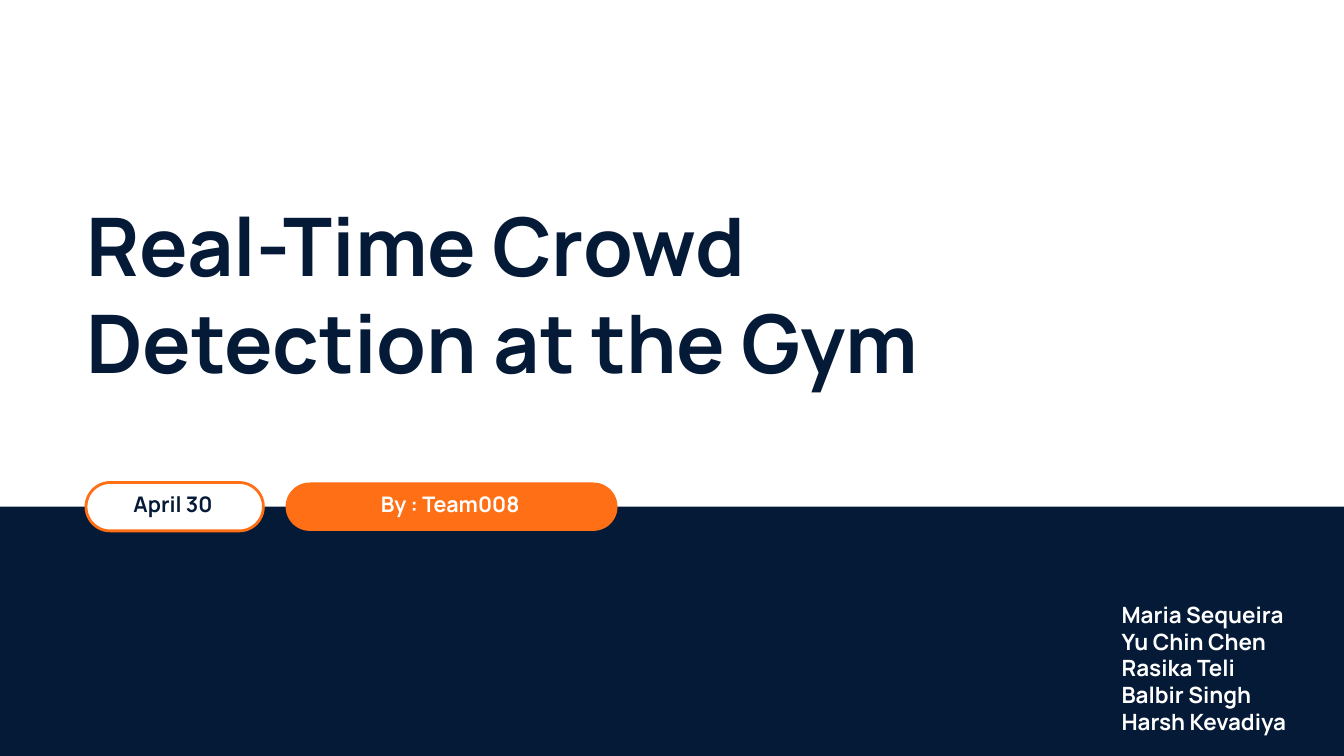
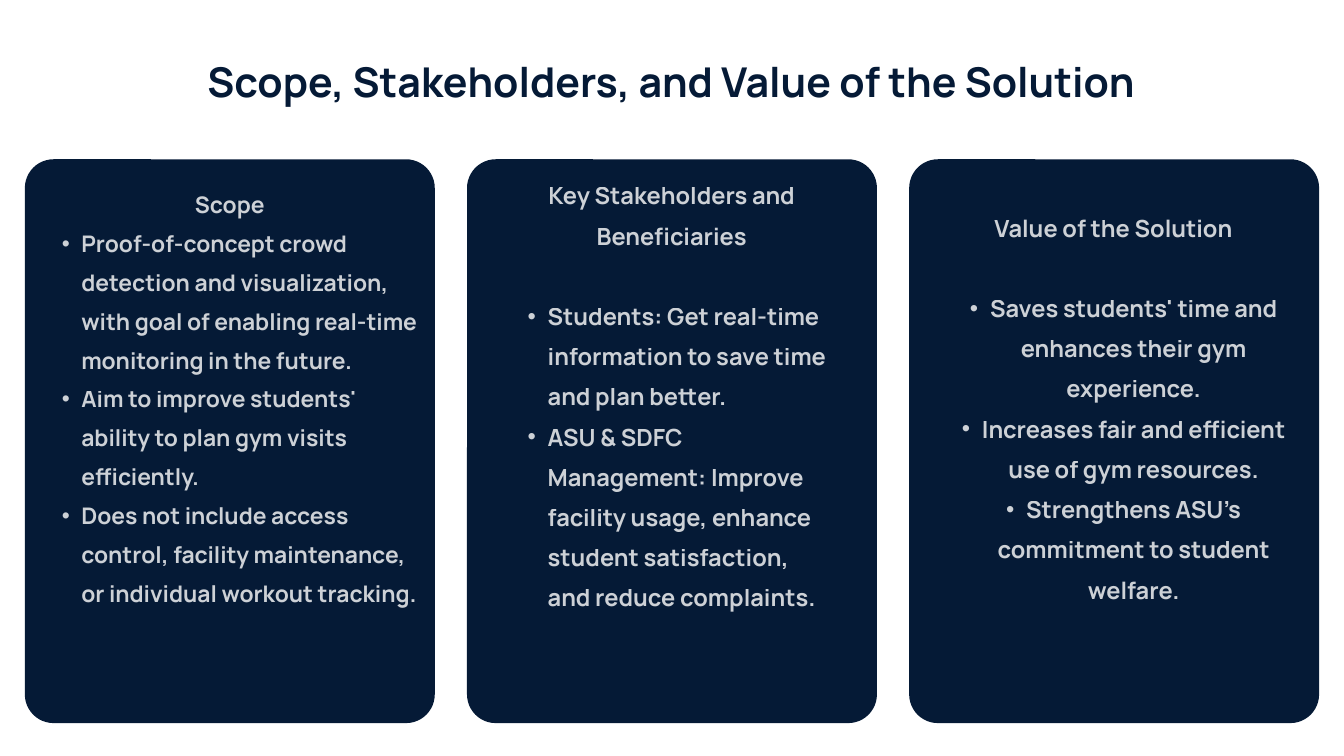
from dataclasses import dataclass

from lxml import etree
from pptx import Presentation
from pptx import util as u
from pptx.dml.color import RGBColor
from pptx.enum import shapes, text
from pptx.oxml.ns import qn


@dataclass(frozen=True)
class Theme:
    font: str = "Manrope"
    navy: str = "051A36"
    orange: str = "FF6F15"
    white: str = "FFFFFF"
    cover_size: float = 86.6
    title_size: float = 44
    pill_size: float = 23
    names_size: float = 24
    card_opacity: int = 80
    outline: float = 3


LEFT, CENTER = text.PP_ALIGN.LEFT, text.PP_ALIGN.CENTER
RECTANGLE = shapes.MSO_SHAPE.RECTANGLE
ROUNDED = shapes.MSO_SHAPE.ROUNDED_RECTANGLE
COLUMNS, ROWS = 20, 11.25
BAND_TOP = 7.54
PILL_HEIGHT = 0.72
CARD_WIDTH, CARD_HEIGHT, CARD_TOP, CARD_MARGIN = 6.1, 8.39, 2.37, 0.37

PILLS = [
    ("April 30", 1.28, 2.64, (1.4, 2.35), "white", "navy"),
    ("By : Team008", 4.25, 4.94, (4.39, 4.62), "orange", "white"),
]

TEAM = ["Maria Sequeira", "Yu Chin Chen", "Rasika Teli", "Balbir Singh", "Harsh Kevadiya"]

CARDS = [
    dict(
        heading="Scope",
        points=[
            "Proof-of-concept crowd detection and visualization, with goal of enabling "
            "real-time monitoring in the future.",
            "Aim to improve students' ability to plan gym visits efficiently.",
            "Does not include access control, facility maintenance, or individual workout tracking.",
        ],
        area=(0.63, 2.67, 5.58, 8), size=24.5, leading=41.6, gap=0, indent=0.29, align=LEFT,
    ),
    dict(
        heading="Key Stakeholders and Beneficiaries",
        points=[
            "Students: Get real-time information to save time and plan better.",
            "ASU & SDFC Management: Improve facility usage, enhance student satisfaction, "
            "and reduce complaints.",
        ],
        area=(7.55, 2.52, 4.89, 7.71), size=25.3, leading=43.1, gap=43.1, indent=0.3, align=LEFT,
    ),
    dict(
        heading="Value of the Solution",
        points=[
            "Saves students' time and enhances their gym experience.",
            "Increases fair and efficient use of gym resources.",
            "Strengthens ASU’s commitment to student welfare.",
        ],
        area=(13.89, 3, 5.36, 7.19), size=25.3, leading=43.1, gap=43.1, indent=0.3, align=CENTER,
    ),
]


class Deck:
    def __init__(self, theme):
        self.theme = theme
        self.file = Presentation()
        self.file.slide_width = u.Inches(20)
        self.file.slide_height = u.Inches(11.25)
        self.slide = None

    def grid(self, left, top, width, height):
        column = self.file.slide_width / COLUMNS
        row = self.file.slide_height / ROWS
        return [round(n) for n in (left * column, top * row, width * column, height * row)]

    def new_slide(self):
        self.slide = self.file.slides.add_slide(self.file.slide_layouts[5])
        background = self.slide.background.fill
        background.solid()
        background.fore_color.rgb = RGBColor.from_string(self.theme.white)

    def panel(self, area, fill, kind=RECTANGLE, rounding=0, outline=None):
        panel = self.slide.shapes.add_shape(kind, *self.grid(*area))
        panel.shadow.inherit = False
        panel.fill.solid()
        panel.fill.fore_color.rgb = RGBColor.from_string(fill)
        if kind == ROUNDED:
            panel.adjustments[0] = rounding
        if outline:
            panel.line.color.rgb = RGBColor.from_string(outline)
            panel.line.width = u.Pt(self.theme.outline)
        else:
            panel.line.fill.background()

    def prepare(self, frame):
        frame.word_wrap = True
        frame.auto_size = text.MSO_AUTO_SIZE.NONE
        frame.vertical_anchor = text.MSO_ANCHOR.TOP
        frame.margin_left = frame.margin_right = frame.margin_top = frame.margin_bottom = 0

    def style(self, paragraph, size, color, align=LEFT, leading=None, opacity=100):
        paragraph.alignment = align
        if leading:
            paragraph.line_spacing = u.Pt(leading)
        for run in paragraph.runs:
            run.font.name = self.theme.font
            run.font.size = u.Pt(size)
            run.font.bold = True
            run.font.color.rgb = RGBColor.from_string(color)
            if opacity < 100:
                for tint in run._r.iter(qn("a:srgbClr")):
                    etree.SubElement(tint, qn("a:alpha"), val=str(opacity * 1000))

    def bullet(self, paragraph, indent):
        paragraph.level = 1
        properties = paragraph._p.get_or_add_pPr()
        properties.set("marL", str(u.Inches(2 * indent)))
        properties.set("indent", str(-u.Inches(indent)))
        etree.SubElement(properties, qn("a:buFont"), typeface="Arial")
        etree.SubElement(properties, qn("a:buChar"), char="•")

    def title(self, wording, area, size, leading, align):
        title = self.slide.shapes.title
        title.left, title.top, title.width, title.height = self.grid(*area)
        title.text_frame.text = wording
        self.prepare(title.text_frame)
        self.style(title.text_frame.paragraphs[0], size, self.theme.navy, align, leading)

    def words(self, lines, area, size, color, **style):
        frame = self.slide.shapes.add_textbox(*self.grid(*area)).text_frame
        self.prepare(frame)
        frame.text = "\n".join(lines)
        for paragraph in frame.paragraphs:
            self.style(paragraph, size, color, **style)
        return frame.paragraphs

    def pill(self, label, left, width, label_span, fill, ink):
        theme = self.theme
        self.panel((left, BAND_TOP - PILL_HEIGHT / 2, width, PILL_HEIGHT),
                   getattr(theme, fill), ROUNDED, 0.5, theme.orange if fill == "white" else None)
        label_left, label_width = label_span
        self.words([label], (label_left, 7.38, label_width, 0.32), theme.pill_size,
                   getattr(theme, ink), align=CENTER, leading=22.1)

    def card(self, left, heading, points, area, size, leading, gap, indent, align):
        self.panel((left, CARD_TOP, CARD_WIDTH, CARD_HEIGHT), self.theme.navy, ROUNDED, 0.07)
        first, *rest = self.words([heading, *points], area, size, self.theme.white, align=align,
                                  leading=leading, opacity=self.theme.card_opacity)
        first.alignment = CENTER
        first.space_after = u.Pt(gap)
        for point in rest:
            self.bullet(point, indent)


def main():
    theme = Theme()
    deck = Deck(theme)

    deck.new_slide()
    deck.panel((0, BAND_TOP, COLUMNS, ROWS - BAND_TOP), theme.navy)
    deck.title("Real-Time Crowd Detection at the Gym", (1.28, 2.91, 13.13, 2.94),
               theme.cover_size, 103.9, LEFT)
    for pill in PILLS:
        deck.pill(*pill)
    deck.words(TEAM, (16.69, 8.94, 3.3, 2.02), theme.names_size, theme.white)

    deck.new_slide()
    deck.title("Scope, Stakeholders, and Value of the Solution", (2.62, 0.67, 14.75, 1.5),
               theme.title_size, 65.3, CENTER)
    pitch = (COLUMNS - 2 * CARD_MARGIN - CARD_WIDTH) / (len(CARDS) - 1)
    for index, card in enumerate(CARDS):
        deck.card(CARD_MARGIN + index * pitch, **card)

    deck.file.save("out.pptx")


if __name__ == "__main__":
    main()
